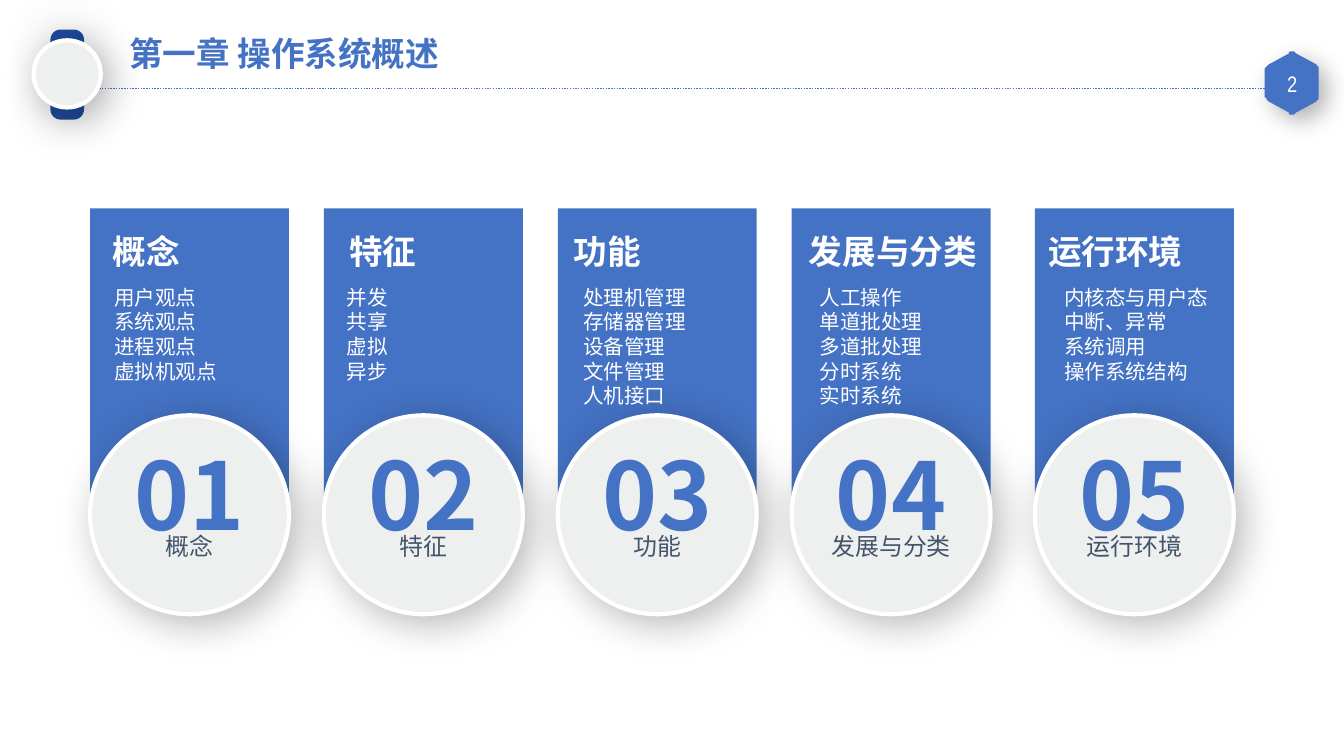
import lxml.etree
import pptx
import pptx.dml.color
import pptx.enum.dml
import pptx.enum.shapes
import pptx.enum.text
import pptx.oxml.ns
import pptx.util

Pt = pptx.util.Pt
SHAPE = pptx.enum.shapes.MSO_SHAPE
ALIGN = pptx.enum.text.PP_ALIGN
ANCHOR = pptx.enum.text.MSO_ANCHOR
qn = pptx.oxml.ns.qn

COLORS = {
    "blue": "4472C4",
    "navy": "1D4999",
    "disc": "EEF0F0",
    "white": "FFFFFF",
    "slate": "44546A",
    "black": "000000",
}
FONT = "Noto Sans CJK SC"
CARD_WIDTH = 106.56
CARD_TOP = 111.6
CARD_PITCH = 125.28
CARDS = [
    ("概念", ["用户观点", "系统观点", "进程观点", "虚拟机观点"], 5, 5.8, 0),
    ("特征", ["并发", "共享", "虚拟", "异步"], 6.5, 5, 0),
    ("功能", ["处理机管理", "存储器管理", "设备管理", "文件管理", "人机接口"], 1.4, 6.5, 0),
    ("发展与分类", ["人工操作", "单道批处理", "多道批处理", "分时系统", "实时系统"], 2.2, 7.9, 0),
    ("运行环境", ["内核态与用户态", "中断、异常", "系统调用", "操作系统结构"], 0, 8.6, 5.04),
]


def color(name):
    """Return the named palette colour."""
    return pptx.dml.color.RGBColor.from_string(COLORS[name])


def paint(shape, fill, line=None, width=0):
    """Give a shape a solid fill, an optional outline and no shadow."""
    shape.shadow.inherit = False
    shape.fill.solid()
    shape.fill.fore_color.rgb = color(fill)
    if line:
        shape.line.color.rgb = color(line)
        shape.line.width = Pt(width)
    else:
        shape.line.fill.background()


def add_shadow(shape, alpha, blur, distance=0, angle=0):
    """Add an outer shadow to a painted shape."""
    effects = shape._element.spPr.find(qn("a:effectLst"))
    shadow = lxml.etree.SubElement(
        effects, qn("a:outerShdw"), blurRad=str(Pt(blur)), dist=str(Pt(distance)),
        dir=str(angle * 60000), algn="ctr", rotWithShape="0")
    tint = lxml.etree.SubElement(shadow, qn("a:srgbClr"), val=COLORS["black"])
    lxml.etree.SubElement(tint, qn("a:alpha"), val=str(alpha * 1000))


def style(paragraph, size, tint, bold=False, font=FONT, align=ALIGN.LEFT):
    """Set the font and alignment of a paragraph."""
    paragraph.alignment = align
    paragraph.font.size = Pt(size)
    paragraph.font.bold = bold
    paragraph.font.color.rgb = color(tint)
    paragraph.font.name = font
    east_asian = lxml.etree.SubElement(paragraph.font._rPr, qn("a:ea"))
    east_asian.set("typeface", font)


def add_text(shapes, box, lines, size, tint, wrap=True, small_caps=False, **options):
    """Add a text box with one paragraph per line."""
    shape = shapes.add_textbox(*map(Pt, box))
    frame = shape.text_frame
    frame.word_wrap = wrap
    frame.text = "\n".join(lines)
    for paragraph in frame.paragraphs:
        paragraph.line_spacing = Pt(size * 1.2)
        style(paragraph, size, tint, **options)
        if small_caps:
            paragraph.font._rPr.set("cap", "small")
    return frame


def add_disc(shapes, left, top, diameter):
    """Add a pale disc with a white rim and a soft shadow."""
    disc = shapes.add_shape(SHAPE.OVAL, Pt(left), Pt(top), Pt(diameter), Pt(diameter))
    paint(disc, "disc", "white", 2.25)
    add_shadow(disc, 28, 22, 6, 45)


def add_hexagon(shapes, left, top, width, height):
    """Add an upright hexagon with rounded corners."""
    corners = [(0.5, -0.03), (1, 0.24), (1, 0.76), (0.5, 1.03), (0, 0.76), (0, 0.24)]
    corners = [(left + x * width, top + y * height) for x, y in corners]
    points = []
    for index, corner in enumerate(corners):
        before, after = corners[index - 1], corners[(index + 1) % 6]
        start, end = [[c + (n - c) * 0.12 for c, n in zip(corner, neighbour)]
                      for neighbour in (before, after)]
        for step in range(7):
            t = step / 6
            points.append([(1 - t) ** 2 * s + 2 * t * (1 - t) * c + t * t * e
                           for s, c, e in zip(start, corner, end)])
    builder = shapes.build_freeform(*points[0], scale=Pt(1))
    builder.add_line_segments(points[1:], close=True)
    hexagon = builder.convert_to_shape()
    paint(hexagon, "blue", "blue", 1)
    add_shadow(hexagon, 30, 13, 6, 45)


def add_header(slide, left, top):
    """Place the badge, dotted rule, page number and title."""
    shapes = slide.shapes
    rule_top = top + 31.68
    rule = shapes.add_connector(
        pptx.enum.shapes.MSO_CONNECTOR.STRAIGHT,
        Pt(left + 5.76), Pt(rule_top), Pt(left + 661), Pt(rule_top))
    rule.line.color.rgb = color("blue")
    rule.line.width = Pt(0.75)
    rule.line.dash_style = pptx.enum.dml.MSO_LINE.ROUND_DOT
    lxml.etree.SubElement(rule._element.spPr, qn("a:effectLst"))

    add_hexagon(shapes, left + 660.24, top + 12.7, 28.1, 31.8)
    number = add_text(shapes, (left + 660.24, top + 20.16, 28.1, 18), ["2"], 12, "white",
                      font="Arial Narrow", align=ALIGN.CENTER)
    number.margin_left = number.margin_right = Pt(5)
    number.margin_top = number.margin_bottom = Pt(2.9)
    number.vertical_anchor = ANCHOR.MIDDLE

    strap = shapes.add_shape(SHAPE.ROUNDED_RECTANGLE, Pt(left + 9), Pt(top), Pt(18), Pt(48.24))
    strap.adjustments[0] = 0.3
    paint(strap, "navy")
    add_shadow(strap, 17, 27)
    add_disc(shapes, left, top + 5.76, 36)

    title = shapes.title
    title.left, title.top, title.width, title.height = map(
        Pt, (left + 43.92, top - 4.32, 342.72, 33.84))
    title.text_frame.text = "第一章 操作系统概述"
    title.text_frame.vertical_anchor = ANCHOR.MIDDLE
    style(title.text_frame.paragraphs[0], 18, "blue", bold=True)


def add_card(slide, left, top, number, card):
    """Place one topic card: banner, heading, items and numbered disc."""
    heading, items, heading_shift, items_shift, _ = card
    shapes = slide.shapes.add_group_shape().shapes
    length = 195.84
    inset = (length - CARD_WIDTH) / 2
    banner = shapes.add_shape(SHAPE.PENTAGON, Pt(left - inset), Pt(top + inset),
                              Pt(length), Pt(CARD_WIDTH))
    banner.rotation = 90
    banner.adjustments[0] = 0.32
    paint(banner, "blue")
    add_disc(shapes, left, top + 110.88, CARD_WIDTH)

    numeral = add_text(shapes, (left + 16.56, top + 119.7, 73.44, 66.24), [f"{number:02}"],
                       50, "blue", wrap=False, bold=True, align=ALIGN.CENTER)
    label = add_text(shapes, (left + 7.6, top + 167.04, 91.4, 25.2), [heading],
                     16, "slate", wrap=False, small_caps=True, align=ALIGN.CENTER)
    for frame in (numeral, label):
        frame.margin_left = frame.margin_right = Pt(5)
        frame.margin_top = frame.margin_bottom = Pt(2.9)
    add_text(shapes, (left + items_shift, top + 37.4, 101, 13.2 * len(items) + 7.2),
             items, 11, "white")
    add_text(shapes, (left + heading_shift, top + 8.4, 107.28, 28.8), [heading],
             18, "white", bold=True)


def main():
    """Build and save the chapter overview slide."""
    presentation = pptx.Presentation()
    presentation.slide_width = Pt(720)
    presentation.slide_height = Pt(405)
    slide = presentation.slides.add_slide(presentation.slide_layouts[5])
    add_header(slide, 18, 15.84)
    for index, card in enumerate(CARDS):
        add_card(slide, 48.24 + index * CARD_PITCH + card[-1], CARD_TOP, index + 1, card)
    presentation.save("out.pptx")


if __name__ == "__main__":
    main()
